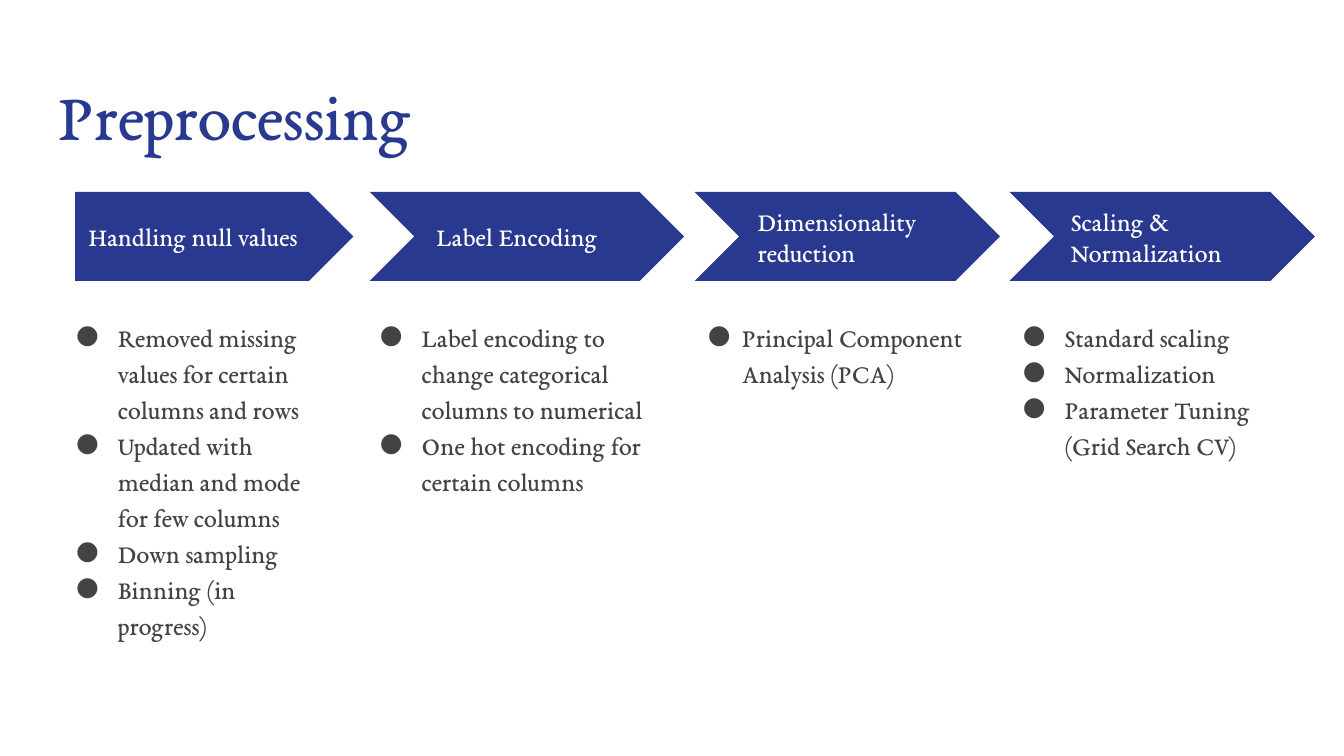
"""Build the Preprocessing slide: four process arrows with a bullet list under each."""
from lxml import etree
from pptx import Presentation
from pptx.dml.color import RGBColor
from pptx.enum import shapes, text
from pptx.oxml import ns
from pptx.util import Cm, Pt

NAVY = RGBColor(0x2A, 0x39, 0x90)
GREY = RGBColor(0x43, 0x43, 0x43)
WHITE = RGBColor(0xFF, 0xFF, 0xFF)
FONT = "EB Garamond"

ARROW_TOP, ARROW_HEIGHT = 3.63, 1.68
LABEL_TOP, LABEL_HEIGHT = 4.04, 0.86
LIST_TOP, LIST_HEIGHT = 5.74, 7.37

# Each step: arrow, label and list as (left, width), list indent, heading, bullets
STEPS = [
    ((1.42, 5.26), (1.42, 4.85), (1.19, 5.26), 0.79, "Handling null values",
     ["Removed missing values for certain columns and rows",
      "Updated with median and mode for few columns",
      "Down sampling",
      "Binning (in progress)"]),
    ((6.99, 5.94), (8.0, 4.29), (6.93, 5.77), 0.79, "Label Encoding",
     ["Label encoding to change categorical columns to numerical",
      "One hot encoding for certain columns"]),
    ((13.13, 5.77), (14.07, 4.57), (13.13, 5.77), 0.64, "Dimensionality reduction",
     ["Principal Component Analysis (PCA)"]),
    ((19.08, 5.77), (19.99, 4.57), (19.08, 5.77), 0.79, "Scaling & Normalization",
     ["Standard scaling", "Normalization", "Parameter Tuning (Grid Search CV)"]),
]


def place(shape, left, top, width, height):
    """Move and size a shape, in centimetres."""
    shape.left, shape.top = Cm(left), Cm(top)
    shape.width, shape.height = Cm(width), Cm(height)


def write(shape, lines, size=14, color=GREY, anchor=text.MSO_ANCHOR.TOP, spacing=1.0):
    """Fill a shape with one left-aligned paragraph per line."""
    frame = shape.text_frame
    frame.word_wrap = True
    frame.auto_size = text.MSO_AUTO_SIZE.NONE
    frame.vertical_anchor = anchor
    frame.margin_left = frame.margin_right = Cm(0.25)
    frame.margin_top = frame.margin_bottom = Cm(0.25)
    frame.text = "\n".join(lines)
    for paragraph in frame.paragraphs:
        paragraph.alignment = text.PP_ALIGN.LEFT
        paragraph.line_spacing = spacing
        paragraph.space_before = paragraph.space_after = Pt(0)
        font = paragraph.runs[0].font
        font.name, font.size, font.bold = FONT, Pt(size), False
        font.color.rgb = color


def add_bullets(shape, indent):
    """Give every paragraph a round grey bullet and a hanging indent."""
    for paragraph in shape.text_frame.paragraphs:
        properties = paragraph._p.get_or_add_pPr()
        properties.set("marL", str(Cm(indent)))
        properties.set("indent", str(Cm(-0.89)))
        color = etree.SubElement(properties, ns.qn("a:buClr"))
        etree.SubElement(color, ns.qn("a:srgbClr"), val=str(GREY))
        etree.SubElement(properties, ns.qn("a:buFont"), typeface=FONT)
        etree.SubElement(properties, ns.qn("a:buChar"), char="●")


def add_arrow(slide, kind, left, width):
    """Add one navy process arrow."""
    arrow = slide.shapes.add_shape(
        kind, Cm(left), Cm(ARROW_TOP), Cm(width), Cm(ARROW_HEIGHT))
    arrow.shadow.inherit = False
    arrow.fill.solid()
    arrow.fill.fore_color.rgb = NAVY
    arrow.line.fill.background()


def add_label(slide, heading, left, width):
    """Add the white heading that lies on an arrow."""
    label = slide.shapes.add_textbox(
        Cm(left), Cm(LABEL_TOP), Cm(width), Cm(LABEL_HEIGHT))
    write(label, [heading], color=WHITE, anchor=text.MSO_ANCHOR.MIDDLE)


def fill_list(placeholder, bullets, indent, left, width):
    """Turn a body placeholder into the bullet list of a step."""
    place(placeholder, left, LIST_TOP, width, LIST_HEIGHT)
    write(placeholder, bullets, spacing=1.15)
    add_bullets(placeholder, indent)


def main():
    """Build and save the presentation."""
    presentation = Presentation()
    presentation.slide_width, presentation.slide_height = Cm(25.4), Cm(14.29)
    layout = presentation.slide_layouts.get_by_name("Comparison")
    slide = presentation.slides.add_slide(layout)

    title, *bodies = slide.placeholders
    place(title, 0.86, 1.14, 23.67, 1.68)
    write(title, ["Preprocessing"], size=36, color=NAVY)

    kind = shapes.MSO_SHAPE.PENTAGON
    for body, (arrow, label, box, indent, heading, bullets) in zip(bodies, STEPS):
        add_arrow(slide, kind, *arrow)
        add_label(slide, heading, *label)
        fill_list(body, bullets, indent, *box)
        kind = shapes.MSO_SHAPE.CHEVRON

    presentation.save("out.pptx")


if __name__ == "__main__":
    main()
